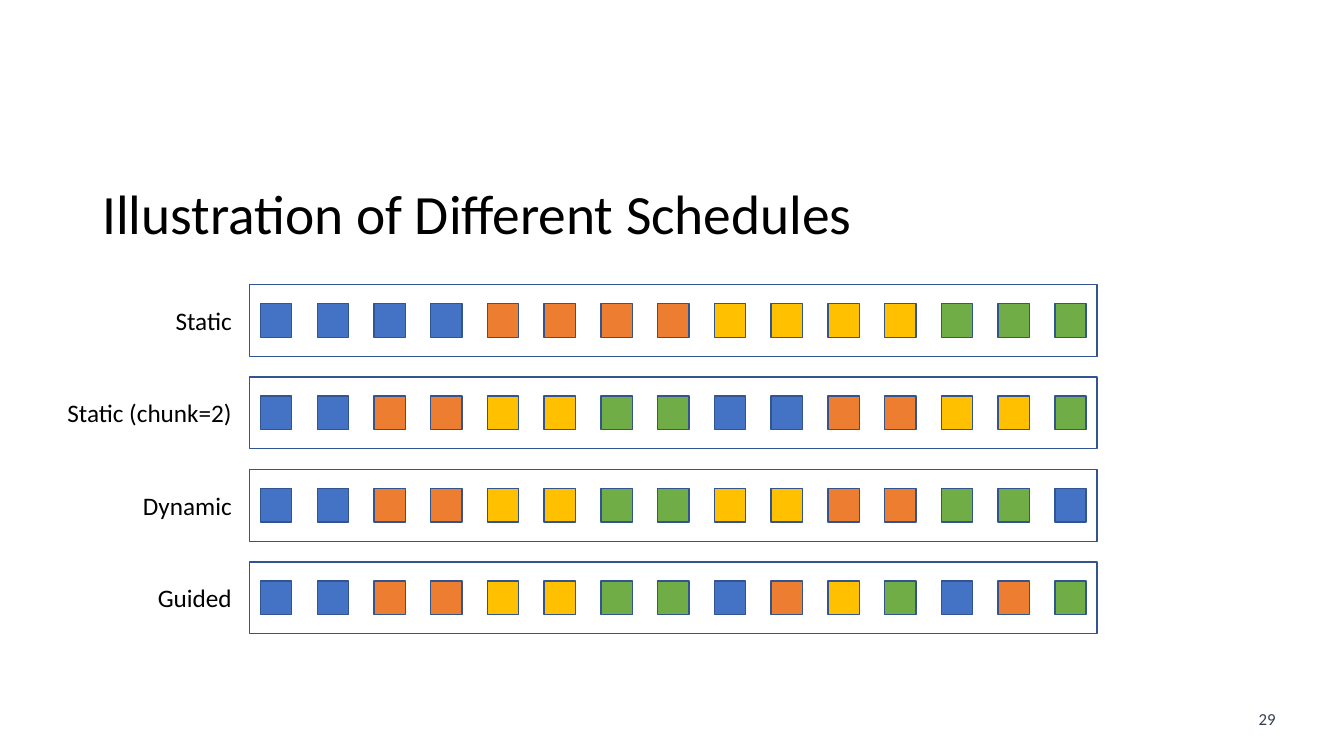
from pptx import Presentation
from pptx.dml.color import RGBColor
from pptx.enum.shapes import MSO_SHAPE
from pptx.enum.text import MSO_ANCHOR, PP_ALIGN
from pptx.util import Cm, Pt

RECT = MSO_SHAPE.RECTANGLE
MIDDLE = MSO_ANCHOR.MIDDLE
LEFT, CENTER, RIGHT = PP_ALIGN.LEFT, PP_ALIGN.CENTER, PP_ALIGN.RIGHT

FONT = "Calibri"
BLACK, WHITE, SLATE, OUTLINE = "000000", "FFFFFF", "333F50", "325491"
# One colour per thread: blue, orange, yellow, green
THREADS = {"B": "4472C4", "O": "ED7D31", "Y": "FFC000", "G": "70AD47"}

# Thread that runs each iteration, in order
SCHEDULES = [
    ("Static", "BBBBOOOOYYYYGGG"),
    ("Static (chunk=2)", "BBOOYYGGBBOOYYG"),
    ("Dynamic", "BBOOYYGGYYOOGGB"),
    ("Guided", "BBOOYYGGBOYGBOG"),
]

# Layout in centimetres
BAR_LEFT, BAR_TOP, BAR_WIDTH, BAR_HEIGHT = 6.29, 7.17, 21.36, 1.81
ROW_STEP = 2.33
CELL_WIDTH, CELL_HEIGHT, CELL_STEP = 0.79, 0.85, 1.43
CELL_INDENT = (BAR_WIDTH - 14 * CELL_STEP - CELL_WIDTH) / 2
CELL_DROP = (BAR_HEIGHT - CELL_HEIGHT) / 2


def color(value):
    return RGBColor.from_string(value)


def add_text(s, text, box, size, fill=BLACK, align=LEFT, spacing=1.0):
    tf = s.shapes.add_textbox(*map(Cm, box)).text_frame
    tf.word_wrap = True
    tf.vertical_anchor = MIDDLE
    tf.text = text
    p = tf.paragraphs[0]
    p.alignment = align
    p.line_spacing = spacing
    r = p.runs[0]
    r.font.name = FONT
    r.font.size = Pt(size)
    r.font.color.rgb = color(fill)


def add_box(group, box, fill):
    sp = group.shapes.add_shape(RECT, *map(Cm, box))
    sp.shadow.inherit = False
    sp.fill.solid()
    sp.fill.fore_color.rgb = color(fill)
    sp.line.color.rgb = color(OUTLINE)
    sp.line.width = Pt(1)


def add_schedule(s, label, threads, top):
    add_text(s, label, (1.19, top + 0.38, 4.9, 1.03), 18, align=RIGHT)
    group = s.shapes.add_group_shape()
    add_box(group, (BAR_LEFT, top, BAR_WIDTH, BAR_HEIGHT), WHITE)
    for i, thread in enumerate(threads):
        left = BAR_LEFT + CELL_INDENT + i * CELL_STEP
        add_box(group, (left, top + CELL_DROP, CELL_WIDTH, CELL_HEIGHT), THREADS[thread])


def main():
    prs = Presentation()
    prs.slide_width, prs.slide_height = Cm(33.87), Cm(19.05)
    s = prs.slides.add_slide(prs.slide_layouts[6])

    # Page number and title
    add_text(s, "29", (31.34, 17.73, 1.19, 0.76), 12, SLATE, CENTER)
    add_text(s, "Illustration of Different Schedules", (2.33, 4.57, 29.21, 1.78),
             39.6, spacing=0.9)

    # Schedule rows
    for row, (label, threads) in enumerate(SCHEDULES):
        add_schedule(s, label, threads, BAR_TOP + row * ROW_STEP)

    prs.save("out.pptx")


if __name__ == "__main__":
    main()
